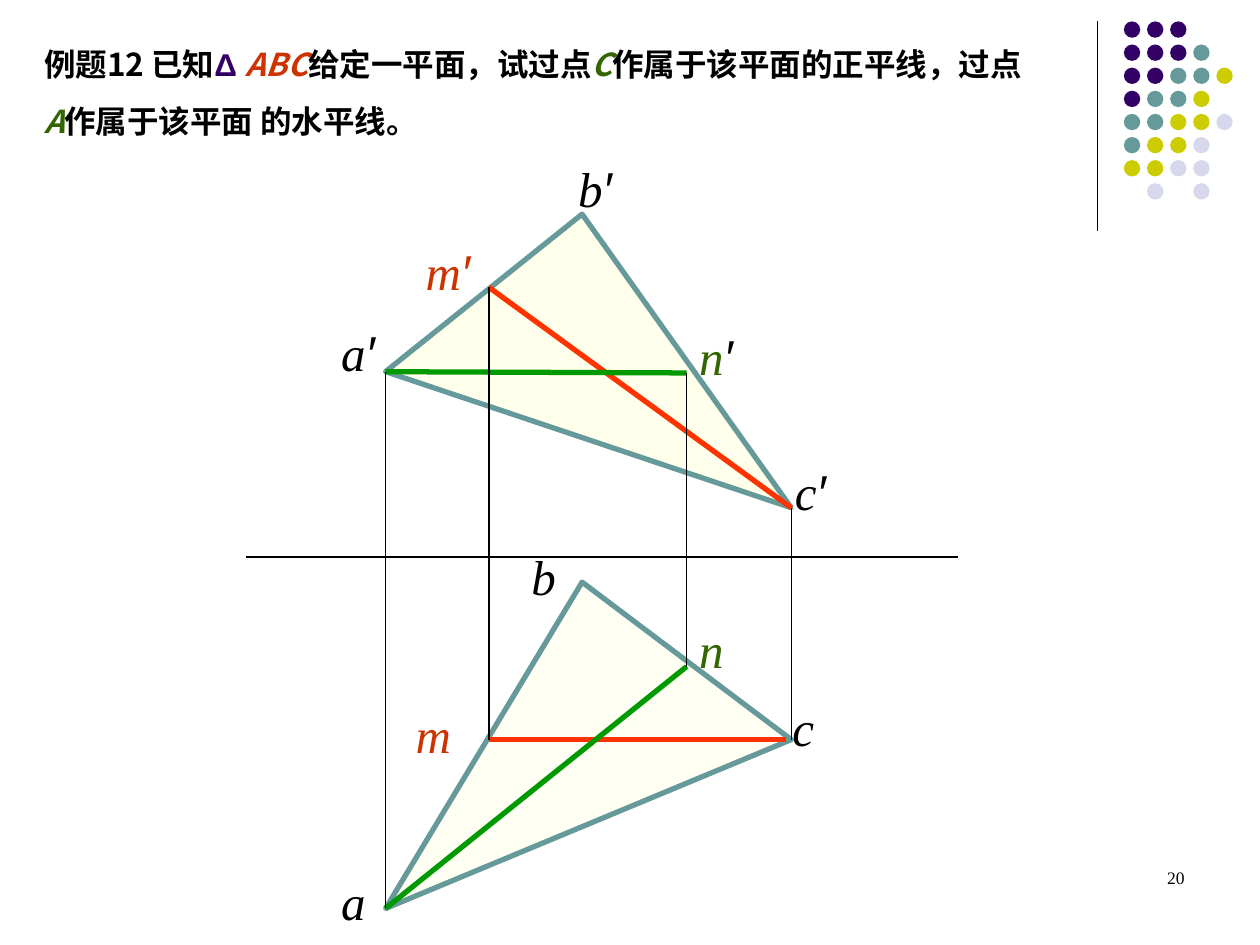
from dataclasses import dataclass

from lxml.etree import SubElement
from pptx import Presentation
from pptx.dml.color import RGBColor
from pptx.enum.shapes import MSO_CONNECTOR, MSO_SHAPE
from pptx.enum.text import MSO_ANCHOR, MSO_AUTO_SIZE, PP_ALIGN
from pptx.oxml.ns import qn
from pptx.util import Inches, Pt


@dataclass(frozen=True)
class Theme:
    ink: str = "000000"
    purple: str = "330066"
    teal: str = "669999"
    lime: str = "CCCC00"
    mist: str = "D8D8EC"
    cream: str = "FFFFEB"
    rust: str = "CC3300"
    moss: str = "336600"
    red: str = "FF3300"
    green: str = "009900"
    serif: str = "Times New Roman"
    sans: str = "Arial"
    chinese: str = "Noto Sans CJK SC"
    title_size: float = 18
    label_size: float = 28
    number_size: float = 10
    thin: float = 0.75
    thick: float = 3


class Board:
    columns = 100
    rows = 75

    def __init__(self, deck, theme):
        self.theme = theme
        self.column = deck.slide_width / self.columns
        self.row = deck.slide_height / self.rows
        self.slide = deck.slides.add_slide(deck.slide_layouts[5])

    def place(self, column, row):
        return round(column * self.column), round(row * self.row)

    def format_frame(self, frame):
        frame.word_wrap = True
        frame.auto_size = MSO_AUTO_SIZE.NONE
        frame.vertical_anchor = MSO_ANCHOR.TOP
        frame.margin_left = frame.margin_right = Inches(0.1)
        frame.margin_top = frame.margin_bottom = Inches(0.05)

    def span(self, para, text, size, font, color, bold=False, italic=False):
        span = para.add_run()
        span.text = text
        span.font.size = Pt(size)
        span.font.name = font
        span.font.bold = bold
        span.font.italic = italic
        span.font.color.rgb = RGBColor.from_string(color)
        SubElement(span.font._element, qn("a:ea"), typeface=font)

    def title(self, corner, size, spans):
        box = self.slide.shapes.title
        box.left, box.top = self.place(*corner)
        box.width, box.height = self.place(*size)
        self.format_frame(box.text_frame)
        para = box.text_frame.paragraphs[0]
        para.alignment = PP_ALIGN.LEFT
        para.line_spacing = 1.5
        for text, font, color, italic in spans:
            self.span(para, text, self.theme.title_size, font, color, True, italic)

    def text_box(self, corner, size, alignment=PP_ALIGN.LEFT):
        box = self.slide.shapes.add_textbox(*self.place(*corner), *self.place(*size))
        self.format_frame(box.text_frame)
        para = box.text_frame.paragraphs[0]
        para.alignment = alignment
        return para

    def label(self, corner, width, letter, color, prime_color=None):
        para = self.text_box(corner, (width, 5.7))
        size = self.theme.label_size
        self.span(para, letter, size, self.theme.serif, color, italic=True)
        if prime_color:
            self.span(para, "′", size, self.theme.sans, prime_color, italic=True)

    def page_number(self, corner, size, text):
        para = self.text_box(corner, size, PP_ALIGN.RIGHT)
        self.span(para, text, self.theme.number_size, self.theme.serif, self.theme.ink)

    def line(self, start, end, color, width):
        line = self.slide.shapes.add_connector(
            MSO_CONNECTOR.STRAIGHT, *self.place(*start), *self.place(*end))
        line.line.color.rgb = RGBColor.from_string(color)
        line.line.width = Pt(width)
        SubElement(line._element.spPr, qn("a:effectLst"))

    def triangle(self, corners, opacity=100):
        first, *others = [self.place(*corner) for corner in corners]
        builder = self.slide.shapes.build_freeform(*first)
        builder.add_line_segments(others, close=True)
        triangle = builder.convert_to_shape()
        triangle.shadow.inherit = False
        triangle.fill.solid()
        triangle.fill.fore_color.rgb = RGBColor.from_string(self.theme.cream)
        triangle.line.color.rgb = RGBColor.from_string(self.theme.teal)
        triangle.line.width = Pt(self.theme.thick)
        if opacity < 100:
            color = triangle._element.spPr.find(qn("a:solidFill"))[0]
            SubElement(color, qn("a:alpha"), val=str(opacity * 1000))

    def dots(self, corner, pitch, diameter, pattern):
        colors = {"P": self.theme.purple, "T": self.theme.teal,
                  "L": self.theme.lime, "M": self.theme.mist}
        left, top = corner
        for row, marks in enumerate(pattern):
            for column, mark in enumerate(marks):
                if mark not in colors:
                    continue
                dot = self.slide.shapes.add_shape(
                    MSO_SHAPE.OVAL,
                    *self.place(left + column * pitch, top + row * pitch),
                    *self.place(diameter, diameter))
                dot.shadow.inherit = False
                dot.fill.solid()
                dot.fill.fore_color.rgb = RGBColor.from_string(colors[mark])
                dot.line.fill.background()


def main():
    deck = Presentation()
    deck.slide_width, deck.slide_height = Inches(10), Inches(7.5)
    theme = Theme()
    board = Board(deck, theme)

    board.line((87.1, 1.7), (87.1, 18.3), theme.ink, theme.thin)
    board.dots((89.2, 1.7), 1.835, 1.3, [
        "PPP", "PPPT", "PPTTL", "PTTL", "TTLLM", "TLLM", "LLMM", ".M.M"])

    a_front, b_front, c_front = (30.6, 29.5), (46.2, 17), (62.8, 40.3)
    a_top, b_top, c_top = (30.6, 72.1), (46.2, 46.2), (62.8, 58.7)
    m_front, m_top = (38.8, 22.8), (38.8, 58.7)
    n_front, n_top = (54.5, 29.6), (54.5, 52.9)

    board.triangle([a_top, b_top, c_top], opacity=50)
    board.triangle([a_front, b_front, c_front])
    board.line((19.5, 44.2), (76, 44.2), theme.ink, theme.thin)
    board.line(m_top, (62.4, 58.7), theme.red, theme.thick)
    board.line(m_front, c_front, theme.red, theme.thick)
    board.line(a_front, n_front, theme.green, theme.thick)
    board.line(a_top, n_top, theme.green, theme.thick)
    for front, top in [(a_front, a_top), (c_front, c_top),
                       (m_front, m_top), (n_front, n_top)]:
        board.line(front, top, theme.ink, theme.thin)

    for corner, width, letter, color, prime_color in [
        ((26.1, 25.1), 6.7, "a", theme.ink, theme.ink),
        ((44.9, 12.1), 8.3, "b", theme.ink, theme.ink),
        ((62.1, 36.1), 11.5, "c", theme.ink, theme.ink),
        ((32.8, 18.7), 7.5, "m", theme.rust, theme.rust),
        ((54.5, 25.4), 9.2, "n", theme.moss, theme.ink),
        ((26.1, 68.7), 5.8, "a", theme.ink, None),
        ((41.2, 42.9), 4.6, "b", theme.ink, None),
        ((61.9, 54.9), 13.3, "c", theme.ink, None),
        ((32, 55.4), 10.2, "m", theme.rust, None),
        ((54.5, 48.7), 5, "n", theme.moss, None),
    ]:
        board.label(corner, width, letter, color, prime_color)

    board.title((2.5, 1.6), (80.8, 10), [
        ("例题12 已知", theme.chinese, theme.ink, False),
        ("Δ ", theme.sans, theme.purple, False),
        ("ABC", theme.chinese, theme.rust, True),
        ("给定一平面，试过点", theme.chinese, theme.ink, False),
        ("C", theme.chinese, theme.moss, True),
        ("作属于该平面的正平线，过点", theme.chinese, theme.ink, False),
        ("A", theme.chinese, theme.moss, True),
        ("作属于该平面 的水平线。", theme.chinese, theme.ink, False),
    ])
    board.page_number((71.7, 68.3), (23.3, 5), "20")
    deck.save("out.pptx")


if __name__ == "__main__":
    main()
